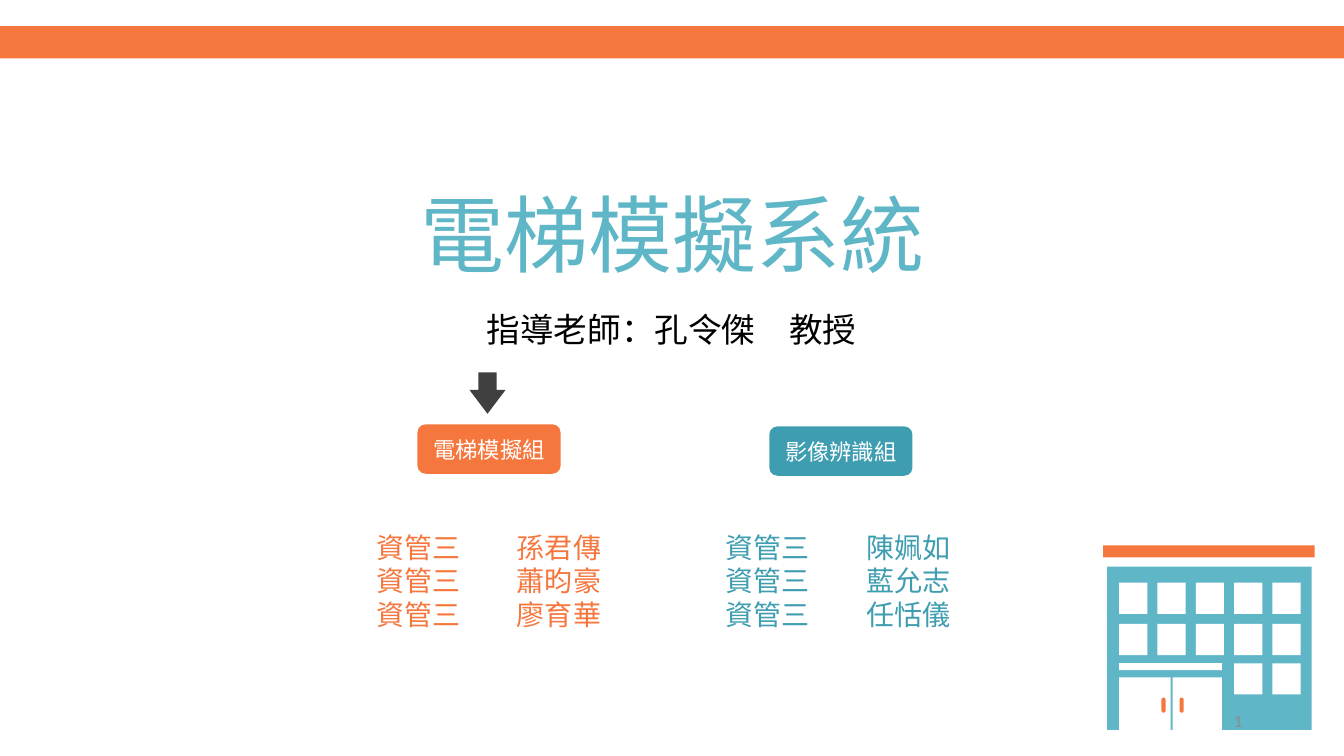
"""Build the title slide of the elevator simulation project."""
from pptx import Presentation
from pptx.dml.color import RGBColor
from pptx.enum.shapes import MSO_SHAPE
from pptx.enum.text import MSO_ANCHOR, MSO_AUTO_SIZE, PP_ALIGN
from pptx.util import Inches, Pt

RECTANGLE, ROUNDED = MSO_SHAPE.RECTANGLE, MSO_SHAPE.ROUNDED_RECTANGLE
ARROW = MSO_SHAPE.RIGHT_ARROW
LEFT, CENTER, RIGHT = PP_ALIGN.LEFT, PP_ALIGN.CENTER, PP_ALIGN.RIGHT
TOP, MIDDLE = MSO_ANCHOR.TOP, MSO_ANCHOR.MIDDLE
NO_AUTOFIT = MSO_AUTO_SIZE.NONE
ORANGE, BLUE, TEAL, WHITE = "F5773D", "5FB6C7", "3E9DB0", "FFFFFF"


def add_block(shapes, kind, box, color):
    shape = shapes.add_shape(kind, *map(Inches, box))
    shape.shadow.inherit = False
    shape.fill.solid()
    shape.fill.fore_color.rgb = RGBColor.from_string(color)
    shape.line.fill.background()
    return shape


def write(shape, text, size, color, font="Calibri", align=CENTER, anchor=TOP, wrap=True):
    frame = shape.text_frame
    frame.auto_size = NO_AUTOFIT
    frame.word_wrap = wrap
    frame.vertical_anchor = anchor
    frame.text = text
    for paragraph in frame.paragraphs:
        paragraph.alignment = align
        for run in paragraph.runs:
            run.font.name = font
            run.font.size = Pt(size)
            run.font.color.rgb = RGBColor.from_string(color)


presentation = Presentation()
presentation.slide_width, presentation.slide_height = Inches(13.33), Inches(7.5)
slide = presentation.slides.add_slide(presentation.slide_layouts[5])

add_block(slide.shapes, RECTANGLE, (0, 0.26, 13.33, 0.32), ORANGE)

building = slide.shapes.add_group_shape().shapes
add_block(building, RECTANGLE, (10.94, 5.41, 2.1, 0.12), ORANGE)
add_block(building, RECTANGLE, (10.98, 5.62, 2.03, 1.62), BLUE)
for window_top, columns in ((5.78, range(5)), (6.19, range(5)), (6.58, range(3, 5))):
    for column in columns:
        add_block(building, RECTANGLE, (11.1 + 0.38 * column, window_top, 0.28, 0.31), WHITE)
add_block(building, RECTANGLE, (11.1, 6.58, 1.02, 0.07), WHITE)
for door_left, door_width, handle_left in ((11.1, 0.51, 11.52), (11.63, 0.49, 11.7)):
    add_block(building, RECTANGLE, (door_left, 6.72, door_width, 0.52), WHITE)
    handle = add_block(building, ROUNDED, (handle_left, 6.92, 0.04, 0.15), ORANGE)
    handle.adjustments[0] = 0.5

title = slide.shapes.title
title.left, title.top, title.width, title.height = map(Inches, (2.21, 1.76, 8.92, 1.11))
write(title, "電梯模擬系統", 60, BLUE, font="Noto Sans CJK JP", anchor=MIDDLE)

teacher = slide.shapes.add_textbox(*map(Inches, (4.71, 3.02, 3.9, 0.5)))
write(teacher, "指導老師：孔令傑　教授", 24, "000000", wrap=False)

arrow = add_block(slide.shapes, ARROW, (4.63, 3.72, 0.41, 0.36), "404040")
arrow.rotation = 90
arrow.adjustments[1] = 0.66

teams = (
    ("影像辨識組", ("陳姵如", "藍允志", "任恬儀"), TEAL, (7.63, 4.23), (7.1, 2.48), LEFT),
    ("電梯模擬組", ("孫君傳", "蕭昀豪", "廖育華"), ORANGE, (4.14, 4.21), (3.63, 2.44), CENTER),
)
for team, names, color, label_corner, (list_left, list_width), align in teams:
    group = slide.shapes.add_group_shape().shapes
    members = group.add_textbox(*map(Inches, (list_left, 5.21, list_width, 1.11)))
    write(members, "\n".join(f"資管三　　{name}" for name in names), 20, color, align=align)
    label = add_block(group, ROUNDED, (*label_corner, 1.42, 0.49), color)
    write(label, team, 16, WHITE, anchor=MIDDLE)

page_number = slide.shapes.add_textbox(*map(Inches, (9.42, 6.95, 3, 0.4)))
write(page_number, "1", 12, "8C8C8C", align=RIGHT, anchor=MIDDLE)

presentation.save("out.pptx")
